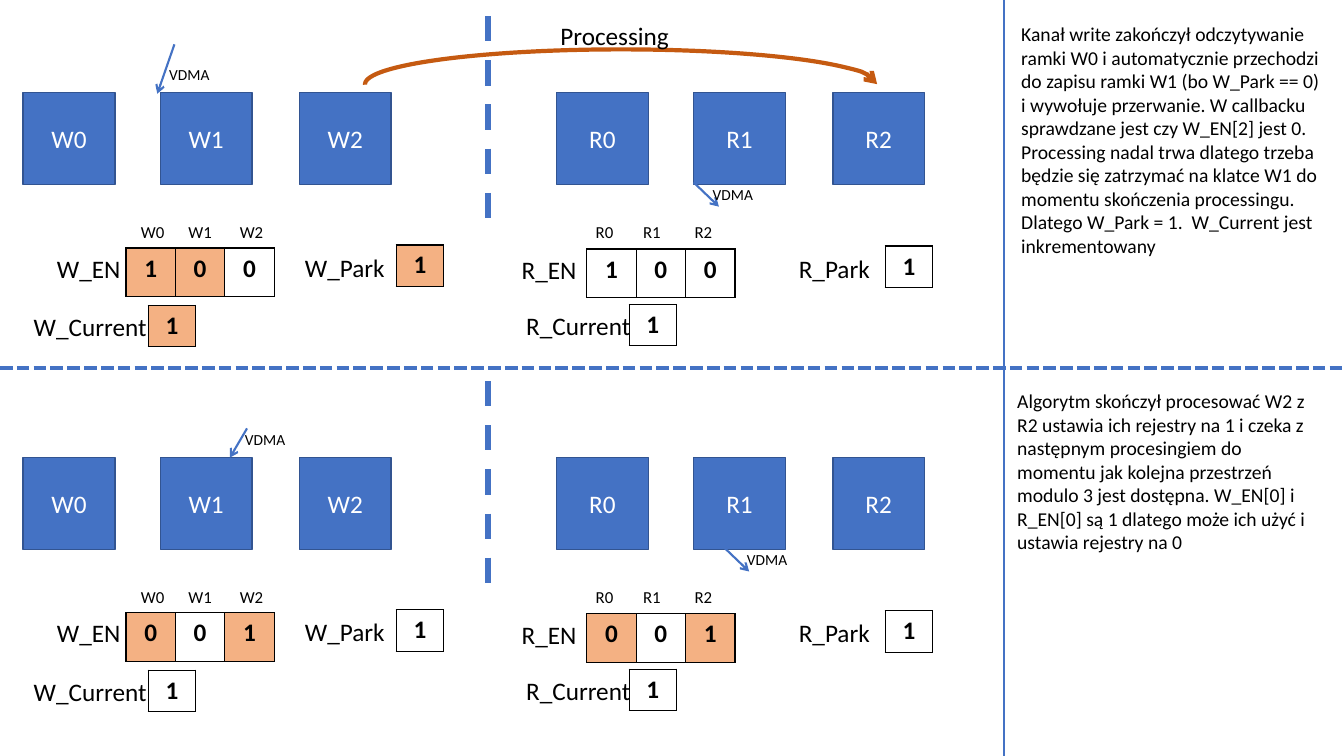
from lxml import etree
from pptx import Presentation
from pptx import util as u
from pptx.dml.color import RGBColor
from pptx.enum import dml, shapes, text
from pptx.oxml.ns import qn

BLUE, EDGE, ORANGE, RUST = "4472C4", "325491", "F4B183", "C55A11"
BLACK, WHITE = "000000", "FFFFFF"
BAND_STEP = 3.62
CENTER = text.PP_ALIGN.CENTER
FRAME_X = (0, 1.36, 2.74)
INDEX_X = (0, 0.47, 0.98)
BANKS = {
    "W": dict(x=0.23, index=1.07, en=(1.02, 2.46), en_label=(0.23, 2.46, 0.84),
              park=(3.7, 2.43), park_label=(2.69, 2.45, 1),
              current=(1.24, 3.03), current_label=(0, 3.04, 1.33)),
    "R": dict(x=5.52, index=0.29, en=(0.3, 2.47), en_label=(-0.45, 2.47, 0.75),
              park=(3.26, 2.44), park_label=(2.3, 2.46, 0.91),
              current=(0.72, 3.02), current_label=(-0.41, 3.03, 1.25)),
}
NOTES = (
    "Kanał write zakończył odczytywanie ramki W0 i automatycznie przechodzi do zapisu "
    "ramki W1 (bo W_Park == 0) i wywołuje przerwanie. W callbacku sprawdzane jest czy "
    "W_EN[2] jest 0. Processing nadal trwa dlatego trzeba będzie się zatrzymać na klatce "
    "W1 do momentu skończenia processingu. Dlatego W_Park = 1.  W_Current jest inkrementowany",
    "Algorytm skończył procesować W2 z R2 ustawia ich rejestry na 1 i czeka z następnym "
    "procesingiem do momentu jak kolejna przestrzeń modulo 3 jest dostępna. W_EN[0] i "
    "R_EN[0] są 1 dlatego może ich użyć i ustawia rejestry na 0",
)


def rgb(value):
    return RGBColor.from_string(value)


def inches(*values):
    return [u.Inches(v) for v in values]


def style(p, size, color=BLACK, bold=False, align=None):
    p.font.name, p.font.size, p.font.bold = "Calibri", u.Pt(size), bold
    p.font.color.rgb = rgb(color)
    p.alignment = align


def add_text(s, words, x, y, w, h, size, wrap=False, align=None):
    tf = s.shapes.add_textbox(*inches(x, y, w, h)).text_frame
    tf.word_wrap = wrap
    tf.auto_size = text.MSO_AUTO_SIZE.SHAPE_TO_FIT_TEXT
    tf.text = words
    style(tf.paragraphs[0], size, align=align)


def stroke(sp, color, width, dash=None, arrow=False):
    sp.line.color.rgb = rgb(color)
    sp.line.width = u.Pt(width)
    if dash:
        sp.line.dash_style = dash
    if arrow:
        etree.SubElement(sp.line._get_or_add_ln(), qn("a:tailEnd"), type="arrow")


def add_line(s, start, end, width, dash=None, arrow=False):
    line = s.shapes.add_connector(shapes.MSO_CONNECTOR.STRAIGHT, *inches(*start, *end))
    stroke(line, BLUE, width, dash, arrow)
    etree.SubElement(line._element.spPr, qn("a:effectLst"))


def border(cell):
    tc_pr = cell._tc.get_or_add_tcPr()
    for i, side in enumerate(("lnL", "lnR", "lnT", "lnB")):
        ln = etree.Element(qn("a:" + side), w=str(u.Pt(1)))
        fill = etree.SubElement(ln, qn("a:solidFill"))
        etree.SubElement(fill, qn("a:srgbClr"), val=BLACK)
        tc_pr.insert(i, ln)


def add_register(s, values, marks, x, y, cell_w, h):
    frame = s.shapes.add_table(1, len(values), *inches(x, y, cell_w * len(values), h))
    table = frame.table
    table.first_row = table.horz_banding = False
    for column, cell, value, mark in zip(table.columns, table.rows[0].cells, values, marks):
        column.width = u.Inches(cell_w)
        cell.fill.solid()
        cell.fill.fore_color.rgb = rgb(ORANGE if mark == "x" else WHITE)
        cell.text = value
        style(cell.text_frame.paragraphs[0], 18, bold=True, align=CENTER)
        border(cell)


def add_frame(s, name, x, y):
    sp = s.shapes.add_shape(shapes.MSO_SHAPE.RECTANGLE, *inches(x, y, 0.91, 0.91))
    sp.shadow.inherit = False
    sp.fill.solid()
    sp.fill.fore_color.rgb = rgb(BLUE)
    stroke(sp, EDGE, 1)
    tf = sp.text_frame
    tf.text = name
    tf.vertical_anchor = text.MSO_ANCHOR.MIDDLE
    style(tf.paragraphs[0], 18, WHITE, align=CENTER)


def add_bank(s, name, top, registers):
    bank = BANKS[name]
    left = bank["x"]
    for i, (frame_x, index_x) in enumerate(zip(FRAME_X, INDEX_X)):
        add_frame(s, f"{name}{i}", left + frame_x, top + 0.92)
        add_text(s, f"{name}{i}", left + bank["index"] + index_x, top + 2.15, 0.55, 0.3, 12, True)
    for register, (values, marks) in registers.items():
        x, y, w = bank[register.lower() + "_label"]
        add_text(s, f"{name}_{register}", left + x, top + y, w, 0.4, 18, align=CENTER)
        x, y = bank[register.lower()]
        cell_w, h = (0.49, 0.48) if register == "EN" else (0.47, 0.41)
        add_register(s, values, marks, left + x, top + y, cell_w, h)


def add_vdma(s, start, end, label, top):
    add_line(s, (start[0], top + start[1]), (end[0], top + end[1]), 1.5, arrow=True)
    add_text(s, "VDMA", label[0], top + label[1], 0.61, 0.29, 11)


def add_band(s, top, banks, pointers):
    add_line(s, (4.84, top + 0.16), (4.84, top + 2.2), 4.5, dml.MSO_LINE.DASH)
    for name, registers in banks.items():
        add_bank(s, name, top, registers)
    for start, end, label in pointers:
        add_vdma(s, start, end, label, top)


def add_processing(s, x, y):
    arc = s.shapes.add_shape(shapes.MSO_SHAPE.ARC, *inches(x, y + 0.34, 5.08, 0.69))
    arc.shadow.inherit = False
    arc.fill.background()
    arc.adjustments[0], arc.adjustments[1] = 107.93, 0
    stroke(arc, RUST, 3, arrow=True)
    add_text(s, "Processing", x + 1.84, y, 1.29, 0.4, 18)


def registers(en, en_marks, mark=" "):
    return {"EN": (en, en_marks), "Park": ("1", mark), "Current": ("1", mark)}


prs = Presentation()
prs.slide_width, prs.slide_height = inches(13.33, 7.5)
s = prs.slides.add_slide(prs.slide_layouts[6])

add_line(s, (9.96, 0), (9.96, 7.5), 1.5)
add_line(s, (0, 3.65), (13.33, 3.65), 3, dml.MSO_LINE.SQUARE_DOT)
add_band(s, 0,
         {"W": registers("100", "xx ", "x"), "R": registers("100", "   ")},
         [((1.73, 0.44), (1.56, 0.93), (1.58, 0.6)),
          ((6.88, 1.81), (7.13, 2.05), (6.97, 1.79))])
add_processing(s, 3.62, 0.15)
add_band(s, BAND_STEP,
         {"W": registers("001", "x x"), "R": registers("001", "x x")},
         [((2.45, 0.63), (2.28, 0.92), (2.33, 0.6)),
          ((7.18, 1.81), (7.43, 2.05), (7.31, 1.79))])
add_text(s, NOTES[0], 10.03, 0.17, 3.21, 2.69, 14, True)
add_text(s, NOTES[1], 9.99, 3.81, 3.21, 1.75, 14, True)

prs.save("out.pptx")
